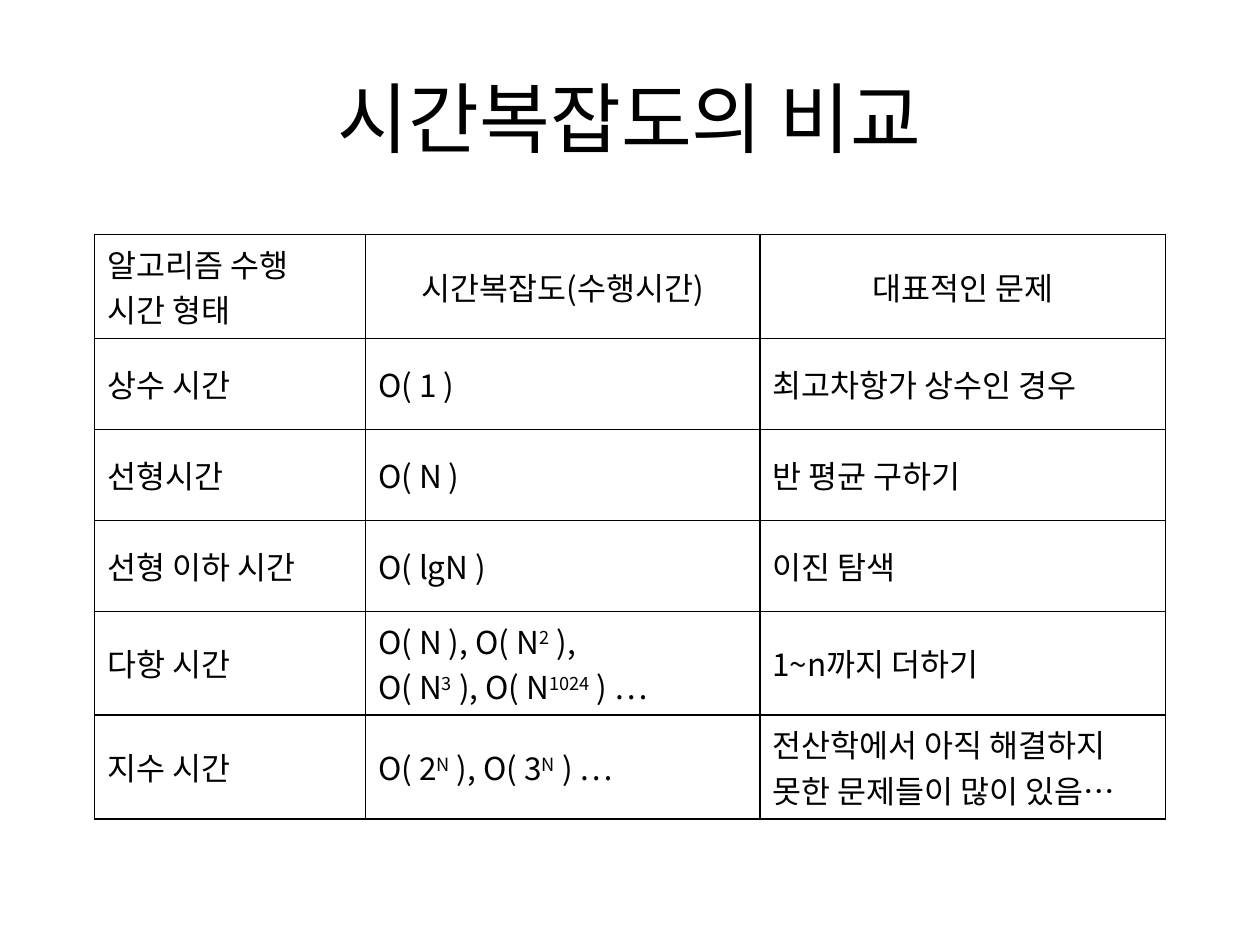
from dataclasses import dataclass

from lxml.etree import SubElement
from pptx import Presentation
from pptx.dml.color import RGBColor
from pptx.enum.text import MSO_ANCHOR, PP_ALIGN
from pptx.oxml.ns import qn
from pptx.util import Pt


@dataclass(frozen=True)
class Theme:
    font: str = "Noto Sans CJK KR"
    ink: str = "000000"
    title_size: int = 44
    body_size: int = 18
    border: int = 1


THEME = Theme()
TITLE = "시간복잡도의 비교"
HEADER = ["알고리즘 수행 시간 형태", "시간복잡도(수행시간)", "대표적인 문제"]
# Text between carets is superscript.
ROWS = [
    ["상수 시간", "O( 1 )", "최고차항가 상수인 경우"],
    ["선형시간", "O( N )", "반 평균 구하기"],
    ["선형 이하 시간", "O( lgN )", "이진 탐색"],
    ["다항 시간", "O( N ), O( N^2^ ),\nO( N^3^ ), O( N^1024^ ) …", "1~n까지 더하기"],
    ["지수 시간", "O( 2^N^ ), O( 3^N^ ) …", "전산학에서 아직 해결하지 못한 문제들이 많이 있음…"],
]
COLUMN_WIDTHS = [154.8, 225.4, 231.8]
HEADER_HEIGHT, ROW_HEIGHT, TABLE_HEIGHT = 29.5, 52, 311


def write(frame, text, size, alignment):
    for index, line in enumerate(text.split("\n")):
        paragraph = frame.add_paragraph() if index else frame.paragraphs[0]
        paragraph.alignment = alignment
        font = paragraph.font
        font.size = Pt(size)
        font.name = THEME.font
        font.color.rgb = RGBColor.from_string(THEME.ink)
        SubElement(font._element, qn("a:ea"), typeface=THEME.font)
        for part, words in enumerate(line.split("^")):
            span = paragraph.add_run()
            span.text = words
            if part % 2:
                span.font._element.set("baseline", "30000")


def draw_borders(cell):
    properties = cell._tc.get_or_add_tcPr()
    for position, side in enumerate(("lnL", "lnR", "lnT", "lnB")):
        line = properties.makeelement(qn(f"a:{side}"), {"w": str(Pt(THEME.border))})
        fill = SubElement(line, qn("a:solidFill"))
        SubElement(fill, qn("a:srgbClr"), val=THEME.ink)
        properties.insert(position, line)


def add_title(page):
    title = page.shapes.title
    title.left, title.top, title.width, title.height = Pt(36), Pt(21.6), Pt(648), Pt(90)
    title.text_frame.vertical_anchor = MSO_ANCHOR.MIDDLE
    write(title.text_frame, TITLE, THEME.title_size, PP_ALIGN.CENTER)


def add_comparison(page):
    content = [HEADER] + ROWS
    holder = page.shapes.add_table(
        len(content), len(HEADER), Pt(54), Pt(134), Pt(sum(COLUMN_WIDTHS)), Pt(TABLE_HEIGHT)
    )
    table = holder.table
    table.first_row = table.horz_banding = False
    for column, width in zip(table.columns, COLUMN_WIDTHS):
        column.width = Pt(width)
    for row_index, texts in enumerate(content):
        table.rows[row_index].height = Pt(ROW_HEIGHT if row_index else HEADER_HEIGHT)
        for column_index, text in enumerate(texts):
            cell = table.cell(row_index, column_index)
            cell.vertical_anchor = MSO_ANCHOR.MIDDLE
            cell.fill.background()
            draw_borders(cell)
            centred = row_index == 0 and column_index > 0
            alignment = PP_ALIGN.CENTER if centred else PP_ALIGN.LEFT
            write(cell.text_frame, text, THEME.body_size, alignment)
    holder.height = Pt(TABLE_HEIGHT)


def main():
    deck = Presentation()
    deck.slide_width, deck.slide_height = Pt(720), Pt(540)
    page = deck.slides.add_slide(deck.slide_layouts[5])
    add_title(page)
    add_comparison(page)
    deck.save("out.pptx")


if __name__ == "__main__":
    main()
